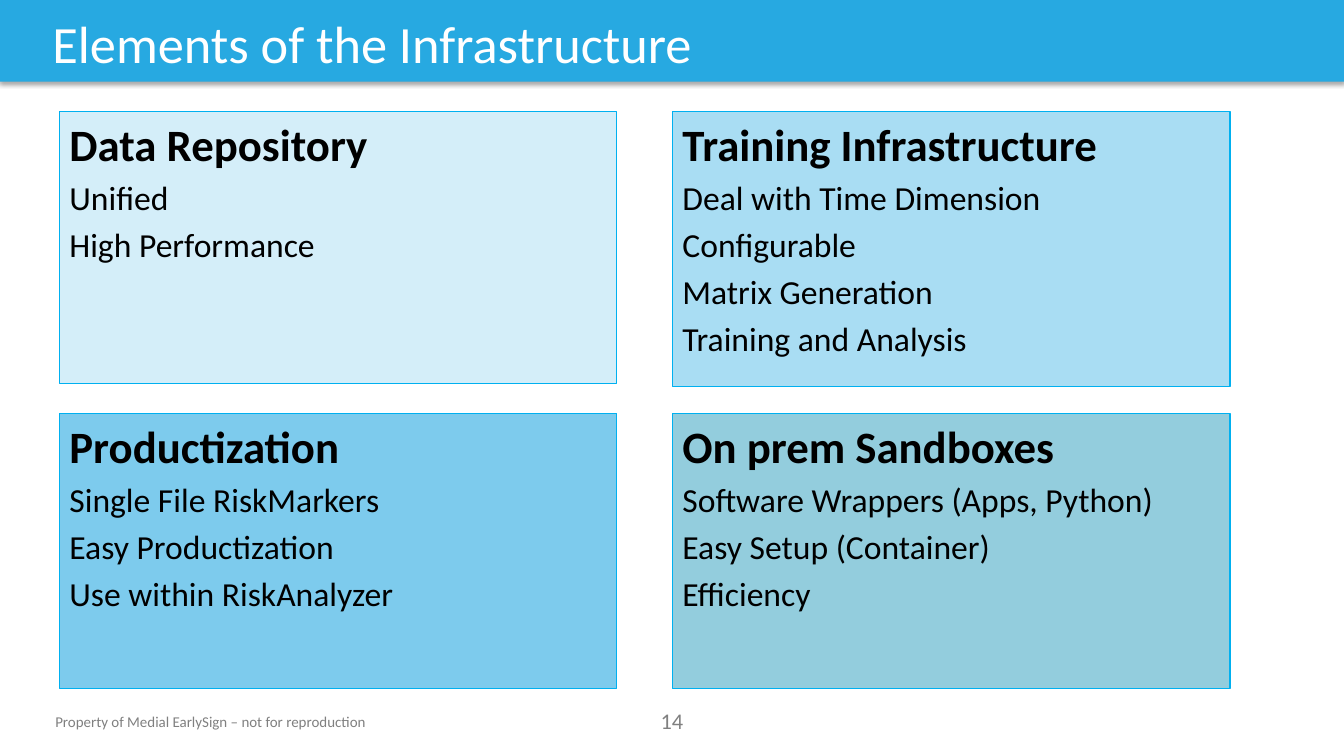
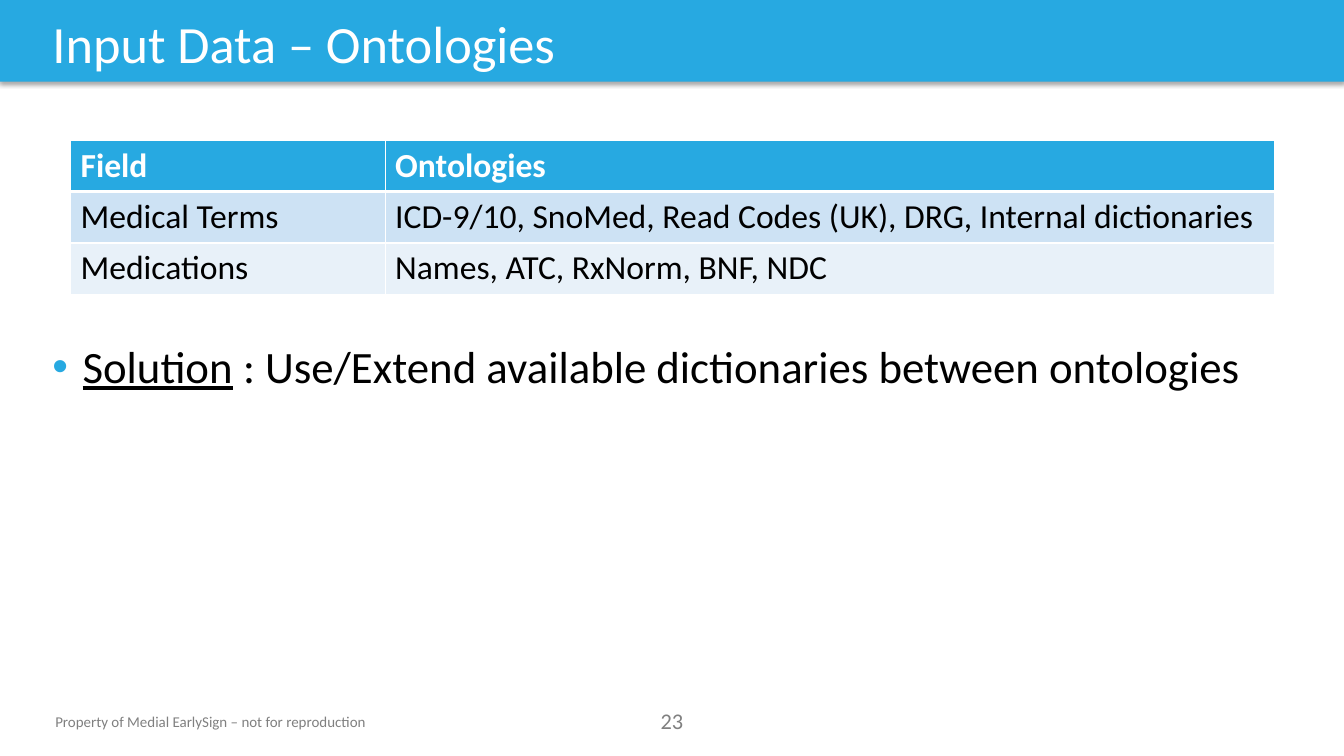
"""Build two slides on a data infrastructure and its input ontologies."""
from dataclasses import dataclass

from lxml.etree import SubElement
from pptx import Presentation
from pptx.dml.color import RGBColor
from pptx.enum.shapes import MSO_SHAPE
from pptx.enum.text import MSO_ANCHOR, MSO_AUTO_SIZE, PP_ALIGN
from pptx.oxml import parse_xml
from pptx.oxml.ns import nsdecls, qn
from pptx.util import Inches, Pt

FONT = "Calibri"
COLORS = {
    "brand": "27A9E1",
    "white": "FFFFFF",
    "black": "000000",
    "gray": "808080",
    "outline": "00B0F0",
    "panel_pale": "D4EEF9",
    "panel_light": "A9DDF3",
    "panel_medium": "7DCBED",
    "panel_teal": "93CDDD",
    "row_dark": "CDE2F4",
    "row_light": "E8F1F9",
}
FOOTER = "Property of Medial EarlySign – not for reproduction"
SLIDE_WIDTH, SLIDE_HEIGHT = 13.33, 7.5
PANEL_LEFT, PANEL_TOP = 0.59, 1.11
PANEL_WIDTH, PANEL_HEIGHT = 5.53, 2.73
COLUMN_STEP, ROW_STEP = 6.08, 2.99
COLUMN_WIDTHS = (3.12, 8.82)
ROW_HEIGHT = 0.51
THIN_BORDER, THICK_BORDER = 0.96, 3


@dataclass(frozen=True)
class Panel:
    heading: str
    lines: tuple[str, ...]
    color: str
    height: float = PANEL_HEIGHT


PANELS = (
    Panel("Data Repository", ("Unified", "High Performance"), "panel_pale", 2.7),
    Panel(
        "Training Infrastructure",
        ("Deal with Time Dimension", "Configurable", "Matrix Generation", "Training and Analysis"),
        "panel_light",
    ),
    Panel(
        "Productization",
        ("Single File RiskMarkers", "Easy Productization", "Use within RiskAnalyzer"),
        "panel_medium",
    ),
    Panel(
        "On prem Sandboxes",
        ("Software Wrappers (Apps, Python)", "Easy Setup (Container)", "Efficiency"),
        "panel_teal",
    ),
)
ONTOLOGY_ROWS = (
    ("Field", "Ontologies"),
    ("Medical Terms", "ICD-9/10, SnoMed, Read Codes (UK), DRG, Internal dictionaries"),
    ("Medications", "Names, ATC, RxNorm, BNF, NDC"),
)
ROW_COLORS = ("brand", "row_dark", "row_light")


def rgb(name: str) -> RGBColor:
    return RGBColor.from_string(COLORS[name])


def write(paragraph, text: str, *, size: float, color: str = "black", bold: bool = False,
          underline: bool = False, align=PP_ALIGN.LEFT, space_before: float = 0) -> None:
    paragraph.alignment = align
    paragraph.space_before = Pt(space_before)
    run = paragraph.add_run()
    run.text = text
    run.font.name = FONT
    run.font.size = Pt(size)
    run.font.bold = bold
    run.font.underline = underline
    run.font.color.rgb = rgb(color)


def add_text_box(slide, left: float, top: float, width: float, height: float):
    text_box = slide.shapes.add_textbox(Inches(left), Inches(top), Inches(width), Inches(height))
    text_box.text_frame.word_wrap = True
    return text_box.text_frame.paragraphs[0]


def add_rectangle(slide, left: float, top: float, width: float, height: float, color: str):
    shape = slide.shapes.add_shape(
        MSO_SHAPE.RECTANGLE, Inches(left), Inches(top), Inches(width), Inches(height)
    )
    shape.shadow.inherit = False
    shape.fill.solid()
    shape.fill.fore_color.rgb = rgb(color)
    return shape


def add_band(slide) -> None:
    band = add_rectangle(slide, 0, -0.01, SLIDE_WIDTH, 0.82, "brand")
    band.line.fill.background()
    effects = band._element.spPr.find(qn("a:effectLst"))
    shadow = SubElement(effects, qn("a:outerShdw"), blurRad=str(Pt(3.1)), dist=str(Pt(1.8)),
                        dir="5400000", algn="t", rotWithShape="0")
    shadow_color = SubElement(shadow, qn("a:srgbClr"), val=COLORS["black"])
    SubElement(shadow_color, qn("a:alpha"), val="35000")
    slide.shapes._spTree.insert(2, band._element)


def add_slide(presentation, title_text: str, number: int):
    slide = presentation.slides.add_slide(presentation.slide_layouts[5])
    add_band(slide)
    title = slide.shapes.title
    title.left, title.top = Inches(0.42), Inches(0.06)
    title.width, title.height = Inches(11.1), Inches(0.73)
    title.text_frame.auto_size = MSO_AUTO_SIZE.NONE
    title.text_frame.vertical_anchor = MSO_ANCHOR.MIDDLE
    write(title.text_frame.paragraphs[0], title_text, size=37.4, color="white")
    write(add_text_box(slide, 0.45, 7.02, 3.4, 0.28), FOOTER, size=10.7, color="gray")
    write(add_text_box(slide, 6.26, 6.97, 0.81, 0.37), str(number), size=16, color="gray",
          align=PP_ALIGN.CENTER)
    return slide


def add_panel(slide, panel: Panel, index: int) -> None:
    row, column = divmod(index, 2)
    shape = add_rectangle(slide, PANEL_LEFT + column * COLUMN_STEP, PANEL_TOP + row * ROW_STEP,
                          PANEL_WIDTH, panel.height, panel.color)
    shape.line.color.rgb = rgb("outline")
    shape.line.width = Pt(0)
    text_frame = shape.text_frame
    text_frame.word_wrap = True
    text_frame.vertical_anchor = MSO_ANCHOR.TOP
    write(text_frame.paragraphs[0], panel.heading, size=32, bold=True)
    for line in panel.lines:
        write(text_frame.add_paragraph(), line, size=24, space_before=4.8)


def set_borders(cell, row_index: int) -> None:
    widths = {
        "lnL": THIN_BORDER,
        "lnR": THIN_BORDER,
        "lnT": THICK_BORDER if row_index == 1 else THIN_BORDER,
        "lnB": THICK_BORDER if row_index == 0 else THIN_BORDER,
    }
    properties = cell._tc.get_or_add_tcPr()
    for position, (edge, width) in enumerate(widths.items()):
        border = parse_xml(
            f'<a:{edge} {nsdecls("a")} w="{Pt(width)}"><a:solidFill>'
            f'<a:srgbClr val="{COLORS["white"]}"/></a:solidFill></a:{edge}>'
        )
        properties.insert(position, border)


def add_ontology_table(slide) -> None:
    table = slide.shapes.add_table(
        len(ONTOLOGY_ROWS), len(COLUMN_WIDTHS), Inches(0.7), Inches(1.39),
        Inches(sum(COLUMN_WIDTHS)), Inches(ROW_HEIGHT * len(ONTOLOGY_ROWS)),
    ).table
    for column, width in zip(table.columns, COLUMN_WIDTHS):
        column.width = Inches(width)
    for row_index, (texts, color) in enumerate(zip(ONTOLOGY_ROWS, ROW_COLORS)):
        is_header = row_index == 0
        for column_index, text in enumerate(texts):
            cell = table.cell(row_index, column_index)
            cell.fill.solid()
            cell.fill.fore_color.rgb = rgb(color)
            set_borders(cell, row_index)
            write(cell.text_frame.paragraphs[0], text, size=24, bold=is_header,
                  color="white" if is_header else "black")


def add_bullet(paragraph) -> None:
    properties = paragraph._p.get_or_add_pPr()
    properties.set("marL", str(Inches(0.3)))
    properties.set("indent", str(Inches(-0.3)))
    bullet_color = SubElement(properties, qn("a:buClr"))
    SubElement(bullet_color, qn("a:srgbClr"), val=COLORS["brand"])
    SubElement(properties, qn("a:buFont"), typeface="Arial")
    SubElement(properties, qn("a:buChar"), char="•")


def build_infrastructure(presentation) -> None:
    slide = add_slide(presentation, "Elements of the Infrastructure", 14)
    for index, panel in enumerate(PANELS):
        add_panel(slide, panel, index)


def build_ontologies(presentation) -> None:
    slide = add_slide(presentation, "Input Data – Ontologies", 23)
    add_ontology_table(slide)
    solution = add_text_box(slide, 0.42, 3.31, 12.32, 0.65)
    add_bullet(solution)
    write(solution, "Solution", size=32, underline=True)
    write(solution, " : Use/Extend available dictionaries between ontologies", size=32)


def main() -> None:
    presentation = Presentation()
    presentation.slide_width = Inches(SLIDE_WIDTH)
    presentation.slide_height = Inches(SLIDE_HEIGHT)
    build_infrastructure(presentation)
    build_ontologies(presentation)
    presentation.save("out.pptx")


if __name__ == "__main__":
    main()
